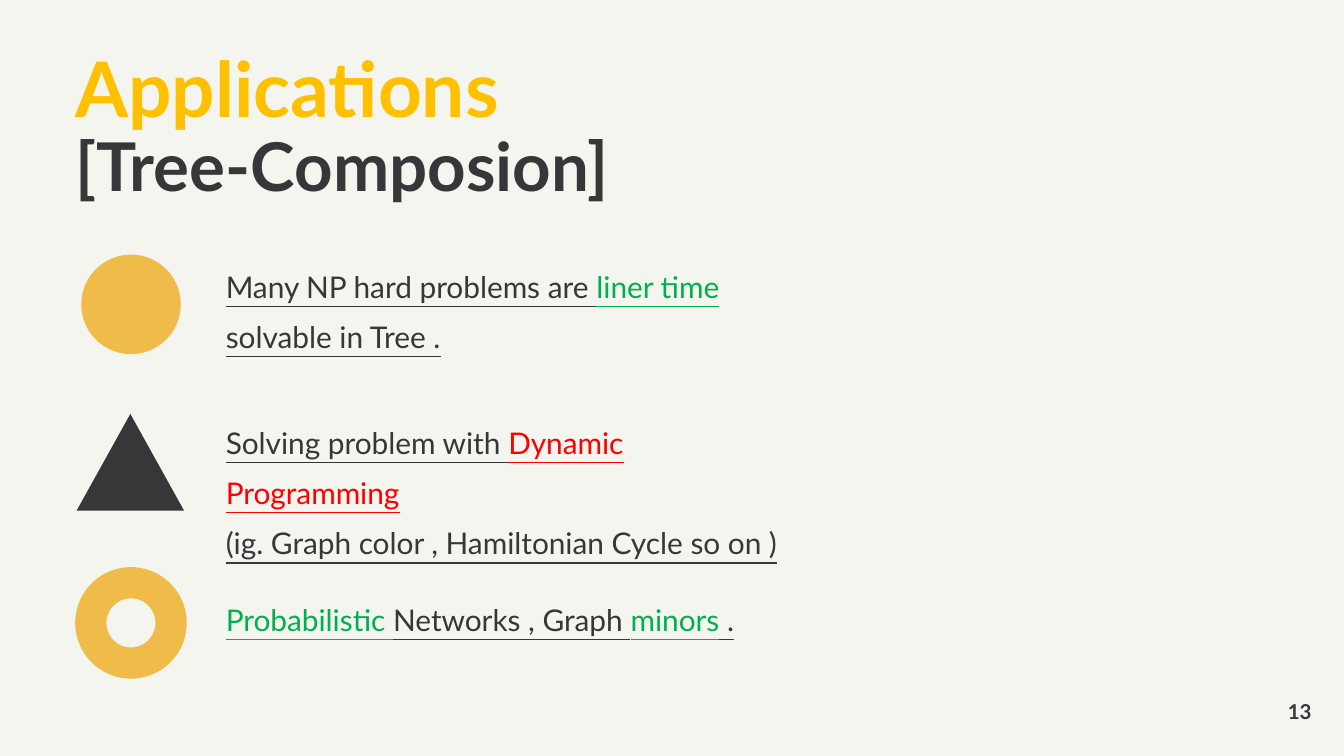
from dataclasses import dataclass, field
from pptx import Presentation as Deck
from pptx.dml.color import RGBColor as Rgb
from pptx.enum.shapes import MSO_SHAPE as Form
from pptx.enum.text import MSO_ANCHOR as Anchor, PP_ALIGN as Align
from pptx.util import Inches, Pt

HUES = {"paper": "F5F5EF", "ink": "363739", "gold": "EFBC49",
        "amber": "FFC000", "green": "00B050", "red": "FF0000"}
WIDE = 10
HIGH = WIDE * 9 / 16
CELL = WIDE / 100
BODY = {"size": Pt(16), "underline": True}
HEAD = {"size": Pt(41), "bold": True}
SUB = {"size": Pt(36), "bold": True}
PAGE = {"size": Pt(11), "bold": True}


@dataclass
class Box:
    col: float
    row: float
    cols: float
    rows: float

    def place(self) -> list:
        return [Inches(n * CELL) for n in (self.col, self.row, self.cols, self.rows)]


@dataclass
class Bit:
    text: str
    hue: str = "ink"
    form: dict = field(default_factory=lambda: BODY)


@dataclass
class Note:
    box: Box
    paras: list
    form: dict
    anchor: Anchor = Anchor.TOP


@dataclass
class Icon:
    kind: Form
    box: Box
    hue: str
    adj: tuple = ()


def tint(name: str) -> Rgb:
    return Rgb.from_string(HUES[name])


def apply(item, form: dict) -> None:
    for key, val in form.items():
        setattr(item, key, val)


def draw_icon(slide, icon: Icon) -> None:
    shape = slide.shapes.add_shape(icon.kind, *icon.box.place())
    shape.shadow.inherit = False
    shape.fill.solid()
    shape.fill.fore_color.rgb = tint(icon.hue)
    shape.line.fill.background()
    for at, val in enumerate(icon.adj):
        shape.adjustments[at] = val


def draw_note(slide, note: Note) -> None:
    frame = slide.shapes.add_textbox(*note.box.place()).text_frame
    apply(frame, {"word_wrap": True, "vertical_anchor": note.anchor,
                  "margin_left": 0, "margin_right": 0,
                  "margin_top": 0, "margin_bottom": 0})
    for at, bits in enumerate(note.paras):
        para = frame.add_paragraph() if at else frame.paragraphs[0]
        apply(para, note.form)
        for bit in bits:
            if bit is None:
                para.add_line_break()
                continue
            run = para.add_run()
            run.text = bit.text
            apply(run.font, {"name": "Lato", **bit.form})
            run.font.color.rgb = tint(bit.hue)


def point(row: float, rows: float, *paras: list) -> Note:
    return Note(Box(16.8, row, 42.9, rows), list(paras), {"line_spacing": 1.4})


ICONS = [
    Icon(Form.ISOSCELES_TRIANGLE, Box(5.7, 30.8, 8, 7.2), "ink"),
    Icon(Form.OVAL, Box(6.05, 18.95, 7.4, 7.4), "gold"),
    Icon(Form.DONUT, Box(5.6, 42.2, 8.3, 8.3), "gold", (0.28,)),
]
NOTES = [
    Note(Box(5.6, 3.8, 70.9, 6.3),
         [[Bit("Applications ", "amber", HEAD), None,
           Bit("[Tree-Composion]", "ink", SUB)]], {"line_spacing": 0.9}),
    point(18.95, 7.5, [Bit("Many NP hard problems are "), Bit("liner time ", "green"),
                       Bit("solvable in Tree .")]),
    point(30.55, 7.5,
          [Bit("Solving problem with "), Bit("Dynamic Programming", "red")],
          [Bit("(ig. Graph color , Hamiltonian Cycle so on )")]),
    point(43.7, 3.8, [Bit("Probabilistic ", "green"), Bit("Networks , Graph "),
                      Bit("minors", "green"), Bit(" .")]),
    Note(Box(91.6, 51.95, 6, 2), [[Bit("13", "ink", PAGE)]],
         {"alignment": Align.RIGHT}, Anchor.MIDDLE),
]


def main() -> None:
    deck = Deck()
    apply(deck, {"slide_width": Inches(WIDE), "slide_height": Inches(HIGH)})
    slide = deck.slides.add_slide(deck.slide_layouts[6])
    slide.background.fill.solid()
    slide.background.fill.fore_color.rgb = tint("paper")
    for icon in ICONS:
        draw_icon(slide, icon)
    for note in NOTES:
        draw_note(slide, note)
    deck.save("out.pptx")


main()
